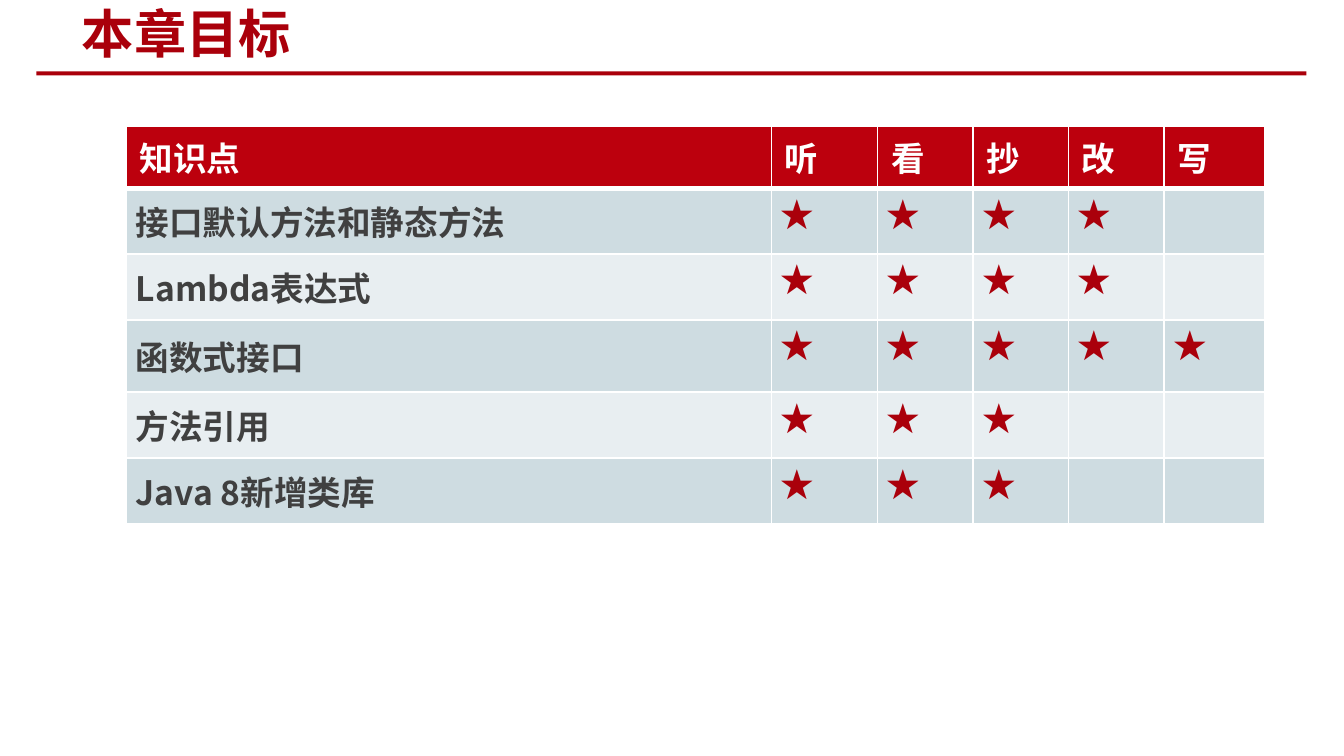
from dataclasses import dataclass
from lxml.etree import SubElement
from pptx import Presentation
from pptx.dml.color import RGBColor
from pptx.enum.shapes import MSO_SHAPE
from pptx.enum.text import MSO_ANCHOR, MSO_AUTO_SIZE, PP_ALIGN
from pptx.oxml.ns import qn
from pptx.util import Inches, Pt


@dataclass(frozen=True)
class Theme:
    font: str = "Noto Sans CJK SC"
    red: str = "AA000B"
    head: str = "BC000D"
    ink: str = "404040"
    white: str = "FFFFFF"
    bands: tuple = ("CEDCE1", "E8EEF1")
    title: int = 28
    body: int = 18
    thin: int = 1
    thick: int = 3


theme = Theme()
WIDE = 10
HIGH = WIDE * 9 / 16
MARKS = ["听", "看", "抄", "改", "写"]
GOALS = [
    ("接口默认方法和静态方法", 4),
    ("Lambda表达式", 4),
    ("函数式接口", 5),
    ("方法引用", 3),
    ("Java 8新增类库", 3),
]
COLS = [4.8, 0.79, 0.71, 0.71, 0.71, 0.75]
ROWS = [0.45, 0.49, 0.49, 0.54, 0.49, 0.49]


def paint(item, color):
    item.fill.solid()
    item.fill.fore_color.rgb = RGBColor.from_string(color)


def style(frame, size, color):
    for part in frame.paragraphs:
        part.alignment = PP_ALIGN.LEFT
        for run in part.runs:
            font = run.font
            font.size, font.bold, font.name = Pt(size), True, theme.font
            font.color.rgb = RGBColor.from_string(color)
            face = SubElement(run._r.get_or_add_rPr(), qn("a:ea"))
            face.set("typeface", theme.font)


def edge(cell, row):
    sides = {"L": theme.thin, "R": theme.thin,
             "T": theme.thick if row == 1 else theme.thin,
             "B": theme.thick if row == 0 else theme.thin}
    props = cell._tc.get_or_add_tcPr()
    for side, size in sides.items():
        line = SubElement(props, qn(f"a:ln{side}"), w=str(Pt(size)))
        fill = SubElement(line, qn("a:solidFill"))
        SubElement(fill, qn("a:srgbClr"), val=theme.white)


def header(slide, box, text):
    left, top, width, height = box
    title = slide.shapes.title
    title.left, title.top = Inches(left + 0.24), Inches(top)
    title.width, title.height = Inches(width * 0.56), Inches(height * 0.8)
    frame = title.text_frame
    frame.text = text
    frame.auto_size = MSO_AUTO_SIZE.NONE
    frame.vertical_anchor = MSO_ANCHOR.MIDDLE
    style(frame, theme.title, theme.red)
    rule = slide.shapes.add_shape(
        MSO_SHAPE.RECTANGLE, Inches(left), Inches(top + height * 0.91),
        Inches(width), Inches(0.03))
    rule.shadow.inherit = False
    rule.line.fill.background()
    paint(rule, theme.red)


def fill_cell(cell, row, text, back, color):
    edge(cell, row)
    paint(cell, back)
    if text:
        cell.text_frame.text = text
        style(cell.text_frame, theme.body, color)


def goals(slide, left, top):
    table = slide.shapes.add_table(
        len(ROWS), len(COLS), Inches(left), Inches(top),
        Inches(sum(COLS)), Inches(sum(ROWS))).table
    for col, width in zip(table.columns, COLS):
        col.width = Inches(width)
    for row, height in zip(table.rows, ROWS):
        row.height = Inches(height)
    for col, text in enumerate(["知识点", *MARKS]):
        fill_cell(table.cell(0, col), 0, text, theme.head, theme.white)
    for row, (name, stars) in enumerate(GOALS, 1):
        back = theme.bands[(row - 1) % 2]
        for col in range(len(COLS)):
            cell = table.cell(row, col)
            text = name if col == 0 else "★" if col <= stars else ""
            fill_cell(cell, row, text, back, theme.red if col else theme.ink)
            if text:
                cell.margin_left = cell.margin_right = Inches(0.07)
                cell.margin_top = cell.margin_bottom = 0
        table.cell(row, 0).vertical_anchor = MSO_ANCHOR.MIDDLE


deck = Presentation()
deck.slide_width, deck.slide_height = Inches(WIDE), Inches(HIGH)
page = deck.slides.add_slide(deck.slide_layouts[5])
header(page, (WIDE * 0.027, 0.02, WIDE * 0.945, HIGH * 0.1), "本章目标")
goals(page, WIDE * 0.094, HIGH / 6)
deck.save("out.pptx")
